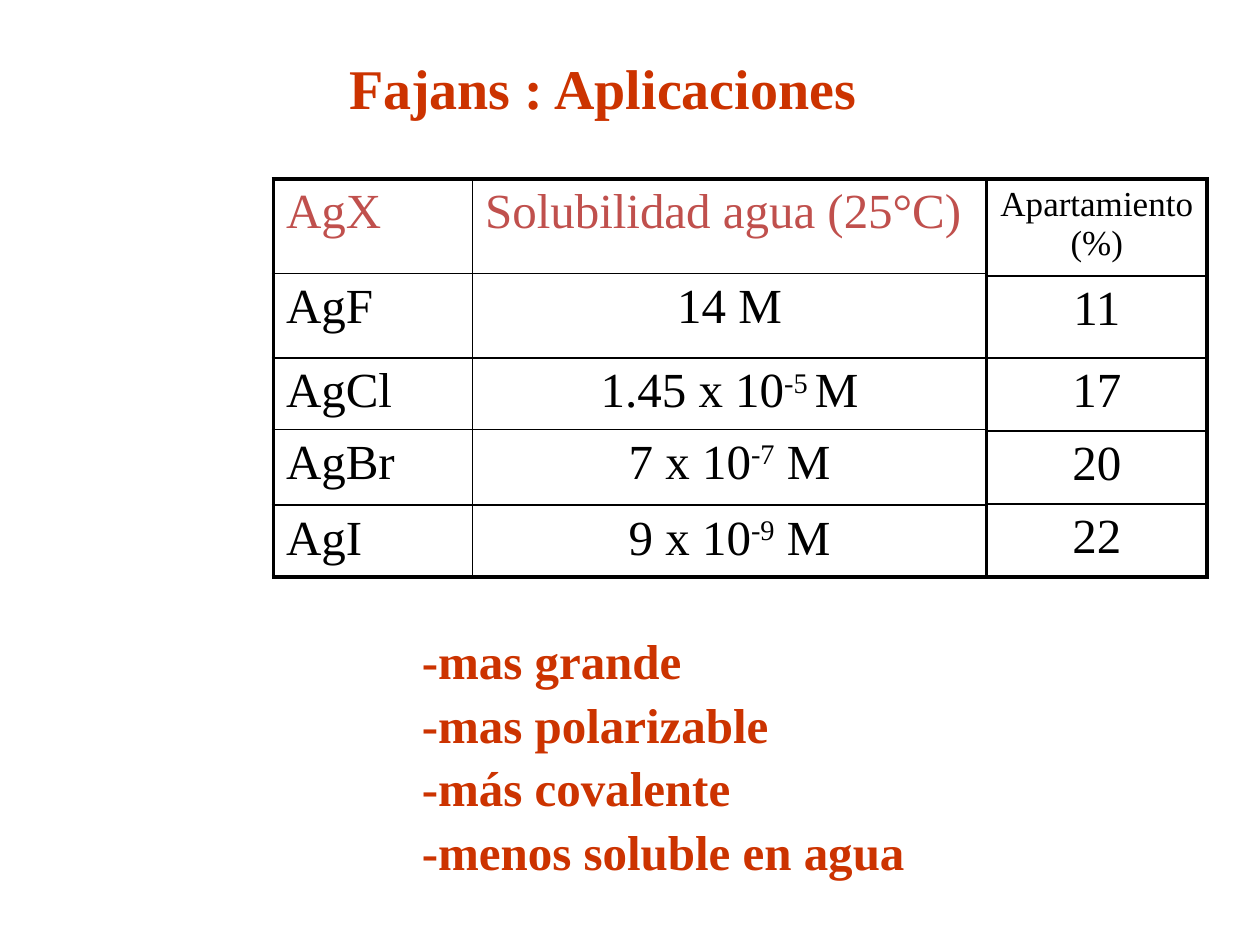
from dataclasses import dataclass

from lxml import etree
from pptx import Presentation
from pptx import util as u
from pptx.dml.color import RGBColor
from pptx.enum import text
from pptx.oxml.ns import qn


@dataclass(frozen=True)
class Theme:
    font: str = "Times New Roman"
    ink: str = "000000"
    accent: str = "CC3300"
    header: str = "C0504D"
    title_size: int = 32
    body_size: int = 28
    small_size: int = 20
    outer: float = 2.25
    inner: float = 1
    leading: float = 1.08


def write(p, content, size, color, font, bold=False, align=text.PP_ALIGN.LEFT, spacing=None):
    p.alignment = align
    if spacing:
        p.line_spacing = spacing
    for i, part in enumerate(content.split("^")):
        r = p.add_run()
        r.text = part
        r.font.name = font
        r.font.size = u.Pt(size)
        r.font.bold = bold
        r.font.color.rgb = RGBColor.from_string(color)
        if i % 2:
            r._r.get_or_add_rPr().set("baseline", "30000")


def set_border(cell, side, width, color):
    tag = qn(f"a:ln{side}")
    ln = etree.SubElement(cell._tc.get_or_add_tcPr(), tag, w=str(u.Pt(width)))
    fill = etree.SubElement(ln, qn("a:solidFill"))
    etree.SubElement(fill, qn("a:srgbClr"), val=color)


class SlideBuilder:
    def __init__(self, s, theme):
        self.s = s
        self.theme = theme

    def fill_lines(self, sp, lines, size):
        t = self.theme
        tf = sp.text_frame
        tf.vertical_anchor = text.MSO_ANCHOR.TOP
        for i, line in enumerate(lines):
            p = tf.add_paragraph() if i else tf.paragraphs[0]
            write(p, line, size, t.accent, t.font, bold=True, spacing=t.leading)
        return tf

    def title(self, content, x, y, w, h):
        sp = self.s.shapes.title
        sp.left, sp.top, sp.width, sp.height = map(u.Inches, (x, y, w, h))
        tf = self.fill_lines(sp, [content], self.theme.title_size)
        tf.word_wrap = True
        tf.auto_size = text.MSO_AUTO_SIZE.NONE

    def text_box(self, lines, x, y, w, h):
        sp = self.s.shapes.add_textbox(*map(u.Inches, (x, y, w, h)))
        tf = self.fill_lines(sp, lines, self.theme.body_size)
        tf.word_wrap = False
        tf.auto_size = text.MSO_AUTO_SIZE.SHAPE_TO_FIT_TEXT

    def table(self, rows, x, y, widths, heights, aligns, header_size, header_color):
        t = self.theme
        frame = self.s.shapes.add_table(
            len(rows), len(widths),
            *map(u.Inches, (x, y, sum(widths), sum(heights))))
        table = frame.table
        table.first_row = table.horz_banding = False
        for column, width in zip(table.columns, widths):
            column.width = u.Inches(width)
        for row, height in zip(table.rows, heights):
            row.height = u.Inches(height)
        last_row, last_col = len(rows) - 1, len(widths) - 1
        for i, row in enumerate(rows):
            for j, content in enumerate(row):
                cell = table.cell(i, j)
                edges = {"L": j == 0, "R": j == last_col, "T": i == 0, "B": i == last_row}
                for side, is_outer in edges.items():
                    set_border(cell, side, t.outer if is_outer else t.inner, t.ink)
                cell.fill.background()
                size, color = (t.body_size, t.ink) if i else (header_size, header_color)
                align = aligns[j] if i else aligns[-1] if last_col == 0 else text.PP_ALIGN.LEFT
                write(cell.text_frame.paragraphs[0], content, size, color, t.font, align=align)


def main():
    prs = Presentation()
    prs.slide_width, prs.slide_height = u.Inches(10), u.Inches(7.5)
    theme = Theme()
    slide = SlideBuilder(prs.slides.add_slide(prs.slide_layouts[5]), theme)
    left, center = text.PP_ALIGN.LEFT, text.PP_ALIGN.CENTER

    slide.title("Fajans : Aplicaciones", 2.67, 0.33, 4.35, 0.63)
    solubility = [
        ("AgX", "Solubilidad agua (25°C)"),
        ("AgF", "14 M"),
        ("AgCl", "1.45 x 10^-5 ^M"),
        ("AgBr", "7 x 10^-7^ M"),
        ("AgI", "9 x 10^-9^ M"),
    ]
    slide.table(solubility, 2.17, 1.42, [1.58, 4.08], [0.75, 0.67, 0.57, 0.6, 0.57],
                [left, center], theme.body_size, theme.header)
    slide.text_box(["-mas grande", "-mas polarizable", "-más covalente",
                    "-menos soluble en agua"], 3.25, 4.92, 4.04, 1.97)
    deviation = [("Apartamiento (%)",), ("11",), ("17",), ("20",), ("22",)]
    slide.table(deviation, 7.83, 1.42, [1.75], [0.77, 0.65, 0.58, 0.58, 0.58],
                [center], theme.small_size, theme.ink)
    prs.save("out.pptx")


if __name__ == "__main__":
    main()
